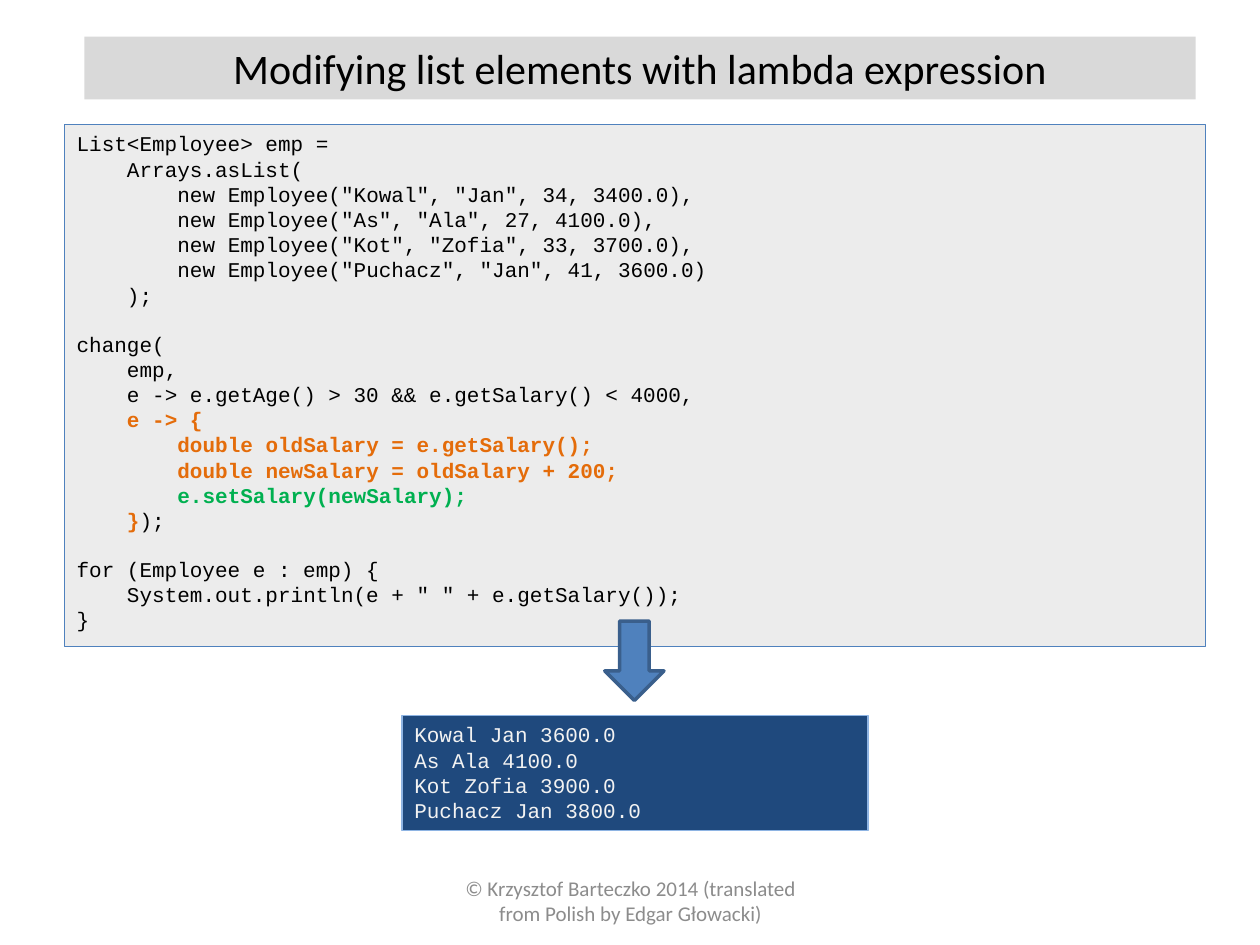
from lxml import etree
from pptx import Presentation
from pptx import util as u
from pptx.dml.color import RGBColor
from pptx.enum import shapes, text
from pptx.oxml import ns

PX = 9144
INDENT = 40
BLANK_LINE = 13.6
BODY, CODE = "Calibri", "Courier New"
BLACK, ORANGE, GREEN = "000000", "E46C0A", "00B050"

LIST_LINES = [
    (0, [("List<Employee> emp =", BLACK)]),
    (1, [("Arrays.asList(", BLACK)]),
    (2, [('new Employee("Kowal", "Jan", 34, 3400.0),', BLACK)]),
    (2, [('new Employee("As", "Ala", 27, 4100.0),', BLACK)]),
    (2, [('new Employee("Kot", "Zofia", 33, 3700.0),', BLACK)]),
    (2, [('new Employee("Puchacz", "Jan", 41, 3600.0)', BLACK)]),
    (1, [(");", BLACK)]),
]
CHANGE_LINES = [
    (0, [("change(", BLACK)]),
    (1, [("emp,", BLACK)]),
    (1, [("e -> e.getAge() > 30 && e.getSalary() < 4000,", BLACK)]),
    (1, [("e -> {", ORANGE)]),
    (2, [("double oldSalary = e.getSalary();", ORANGE)]),
    (2, [("double newSalary = oldSalary + 200;", ORANGE)]),
    (2, [("e.setSalary(newSalary);", GREEN)]),
    (1, [("}", ORANGE), (");", BLACK)]),
]
PRINT_LINES = [
    (0, [("for (Employee e : emp) {", BLACK)]),
    (1, [('System.out.println(e + " " + e.getSalary());', BLACK)]),
    (0, [("}", BLACK)]),
]
RESULTS = ["Kowal Jan 3600.0", "As Ala 4100.0", "Kot Zofia 3900.0", "Puchacz Jan 3800.0"]


def px(length):
    return u.Emu(length * PX)


def color(hex_value):
    return RGBColor.from_string(hex_value)


def style(run, font, size, hex_value, bold=False):
    run.font.name = font
    run.font.size = u.Pt(size)
    run.font.color.rgb = color(hex_value)
    run.font.bold = bold


def add_panel(slide, box, fill, line=None, width=0.75, preset=shapes.MSO_SHAPE.RECTANGLE):
    panel = slide.shapes.add_shape(preset, *map(px, box))
    panel.shadow.inherit = False
    panel.fill.solid()
    panel.fill.fore_color.rgb = color(fill)
    if line:
        panel.line.color.rgb = color(line)
        panel.line.width = u.Pt(width)
    else:
        panel.line.fill.background()
    panel.text_frame.word_wrap = True
    panel.text_frame.vertical_anchor = text.MSO_ANCHOR.TOP
    return panel


def add_lines(frame, lines, font, size, hex_value, align):
    frame.text = "\n".join(lines)
    for paragraph in frame.paragraphs:
        paragraph.alignment = align
        for run in paragraph.runs:
            style(run, font, size, hex_value)


def add_title(slide, box):
    title = add_panel(slide, box, "D9D9D9")
    add_lines(title.text_frame, ["Modifying list elements with lambda expression"],
              BODY, 24, BLACK, text.PP_ALIGN.CENTER)


def add_code(slide, box):
    listing = add_panel(slide, box, "D9D9D9", "4F81BD")
    shade = listing.fill._xPr.find(".//" + ns.qn("a:srgbClr"))
    etree.SubElement(shade, ns.qn("a:alpha"), val="48000")
    frame = listing.text_frame
    paragraph = frame.paragraphs[0]
    for block in (LIST_LINES, CHANGE_LINES, PRINT_LINES):
        for row, (depth, pieces) in enumerate(block):
            if block is not LIST_LINES or row:
                paragraph = frame.add_paragraph()
            paragraph.alignment = text.PP_ALIGN.LEFT
            paragraph._p.get_or_add_pPr().set("marL", str(px(depth * INDENT)))
            if block is not LIST_LINES and row == 0:
                paragraph.space_before = u.Pt(BLANK_LINE)
            for words, hex_value in pieces:
                run = paragraph.add_run()
                run.text = words
                style(run, CODE, 12, hex_value, hex_value != BLACK)


def add_output(slide, box):
    console = add_panel(slide, box, "1F497D", "8EB4E3")
    add_lines(console.text_frame, RESULTS, CODE, 12, "F2F2F2", text.PP_ALIGN.LEFT)


def add_footer(slide, box):
    footer = slide.shapes.add_textbox(*map(px, box))
    footer.text_frame.word_wrap = True
    footer.text_frame.vertical_anchor = text.MSO_ANCHOR.MIDDLE
    add_lines(footer.text_frame,
              ["© Krzysztof Barteczko 2014 (translated from Polish by Edgar Głowacki)"],
              BODY, 12, "8C8C8C", text.PP_ALIGN.CENTER)


def main():
    deck = Presentation()
    deck.slide_width, deck.slide_height = px(1000), px(750)
    slide = deck.slides.add_slide(deck.slide_layouts[6])
    add_footer(slide, (342, 695, 317, 40))
    add_title(slide, (67, 29, 882, 50))
    add_code(slide, (51, 99, 906, 414))
    add_output(slide, (319, 568, 370, 91))
    add_panel(slide, (480, 493, 47, 63), "4F81BD", "3A5F8C", 2,
              shapes.MSO_SHAPE.DOWN_ARROW)
    deck.save("out.pptx")


if __name__ == "__main__":
    main()
